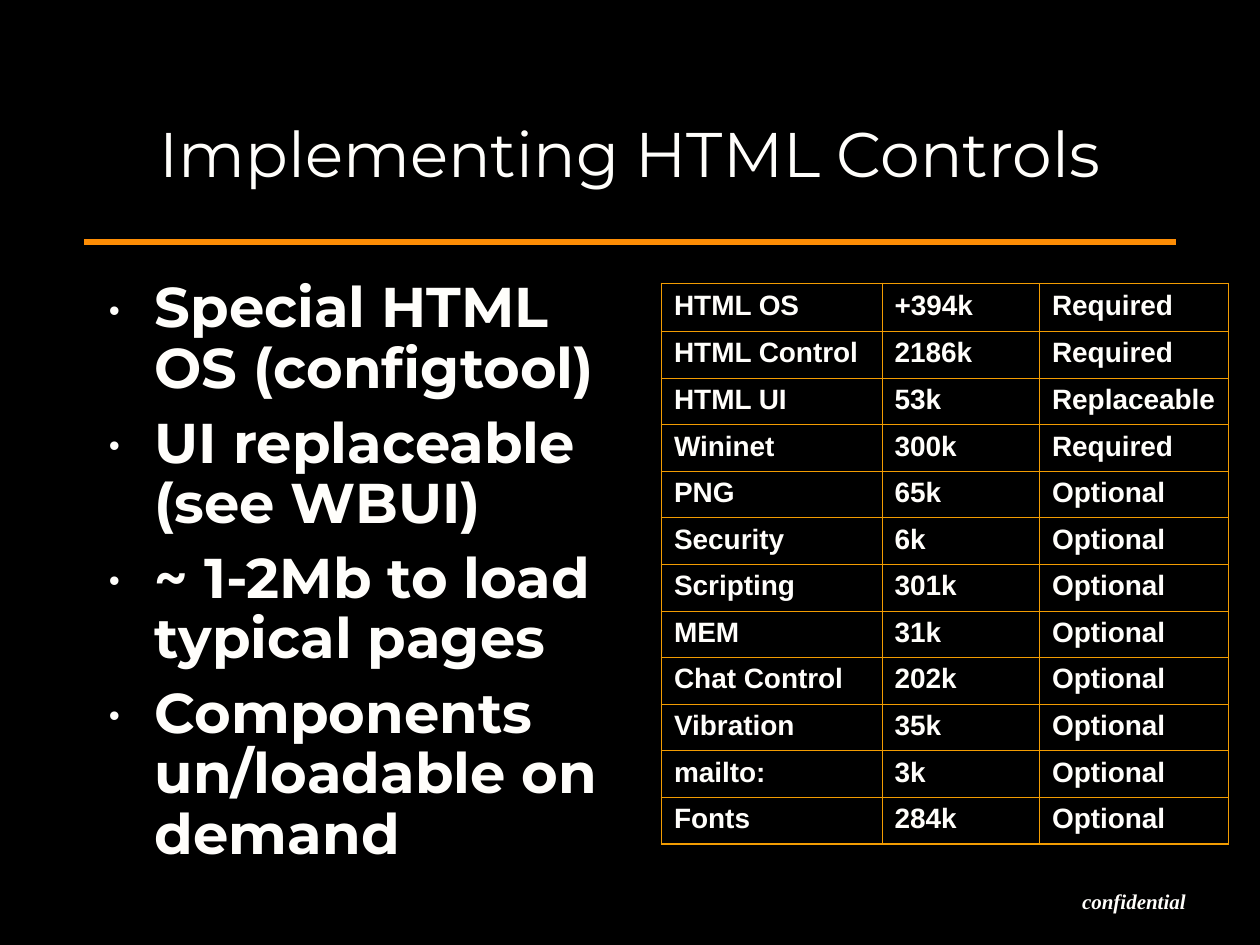
"""Build the HTML controls slide with its bullet list and component size table."""
from dataclasses import dataclass

from lxml import etree
from pptx import Presentation
from pptx.dml.color import RGBColor
from pptx.enum.shapes import MSO_CONNECTOR
from pptx.enum.text import MSO_ANCHOR, PP_ALIGN
from pptx.oxml.ns import qn
from pptx.util import Inches, Pt

STRAIGHT = MSO_CONNECTOR.STRAIGHT
CENTER = PP_ALIGN.CENTER
LEFT = PP_ALIGN.LEFT
TOP = MSO_ANCHOR.TOP
MIDDLE = MSO_ANCHOR.MIDDLE


@dataclass(frozen=True)
class Theme:
    background: str = "000000"
    text: str = "FFFEFB"
    rule: str = "FD8D05"
    border: str = "F29C02"
    heading_font: str = "Montserrat"
    table_font: str = "Arial"
    footer_font: str = "Times New Roman"
    title_size: int = 36
    bullet_size: int = 32
    table_size: int = 16
    footer_size: int = 12
    rule_width: float = 3
    outer_border: float = 1.08
    inner_border: float = 0.45


THEME = Theme()

BULLETS = [
    "Special HTML OS (configtool)",
    "UI replaceable (see WBUI)",
    "~ 1-2Mb to load typical pages",
    "Components un/loadable on demand",
]
COMPONENTS = [
    ("HTML OS", "+394k", "Required"),
    ("HTML Control", "2186k", "Required"),
    ("HTML UI", "53k", "Replaceable"),
    ("Wininet", "300k", "Required"),
    ("PNG", "65k", "Optional"),
    ("Security", "6k", "Optional"),
    ("Scripting", "301k", "Optional"),
    ("MEM", "31k", "Optional"),
    ("Chat Control", "202k", "Optional"),
    ("Vibration", "35k", "Optional"),
    ("mailto:", "3k", "Optional"),
    ("Fonts", "284k", "Optional"),
]
COLUMN_WIDTHS = (1.75, 1.25, 1.5)
FIRST_ROW_HEIGHT = 0.38
ROW_HEIGHT = 0.37


def style_paragraph(para, font, size, bold=False, italic=False):
    for span in para.runs:
        span.font.name = font
        span.font.size = Pt(size)
        span.font.bold = bold
        span.font.italic = italic
        span.font.color.rgb = RGBColor.from_string(THEME.text)


def add_text(page, area, text, font, size, bold=False, italic=False,
             align=CENTER, anchor=TOP):
    box = page.shapes.add_textbox(*map(Inches, area))
    frame = box.text_frame
    frame.word_wrap = True
    frame.vertical_anchor = anchor
    frame.text = text
    for para in frame.paragraphs:
        para.alignment = align
        style_paragraph(para, font, size, bold, italic)
    return box


def add_bullet(para):
    properties = para._p.get_or_add_pPr()
    properties.set("marL", str(Inches(0.38)))
    properties.set("indent", str(-Inches(0.38)))
    color = etree.SubElement(properties, qn("a:buClr"))
    etree.SubElement(color, qn("a:srgbClr"), val=THEME.text)
    etree.SubElement(properties, qn("a:buFont"), typeface=THEME.heading_font)
    etree.SubElement(properties, qn("a:buChar"), char="•")


def add_bullets(page, area, lines):
    box = add_text(page, area, "\n".join(lines), THEME.heading_font,
                   THEME.bullet_size, bold=True, align=LEFT)
    for index, para in enumerate(box.text_frame.paragraphs):
        add_bullet(para)
        para.line_spacing = 0.9
        if index:
            para.space_before = Pt(8)


def add_rule(page, left, right, top):
    line = page.shapes.add_connector(
        STRAIGHT, Inches(left), Inches(top), Inches(right), Inches(top))
    line.line.color.rgb = RGBColor.from_string(THEME.rule)
    line.line.width = Pt(THEME.rule_width)
    etree.SubElement(line._element.spPr, qn("a:effectLst"))


def set_borders(cell, outer_sides):
    properties = cell._tc.get_or_add_tcPr()
    for side in "LRTB":
        width = THEME.outer_border if side in outer_sides else THEME.inner_border
        line = etree.SubElement(properties, qn(f"a:ln{side}"), w=str(Pt(width)))
        fill = etree.SubElement(line, qn("a:solidFill"))
        etree.SubElement(fill, qn("a:srgbClr"), val=THEME.border)


def add_component_table(page, left, top, rows):
    last_row, last_column = len(rows) - 1, len(COLUMN_WIDTHS) - 1
    table = page.shapes.add_table(
        len(rows), len(COLUMN_WIDTHS), Inches(left), Inches(top),
        Inches(sum(COLUMN_WIDTHS)), Inches(ROW_HEIGHT * len(rows))).table
    table.first_row = table.horz_banding = False
    for column, width in zip(table.columns, COLUMN_WIDTHS):
        column.width = Inches(width)
    for row_index, values in enumerate(rows):
        table.rows[row_index].height = Inches(ROW_HEIGHT if row_index else FIRST_ROW_HEIGHT)
        for column_index, value in enumerate(values):
            cell = table.cell(row_index, column_index)
            cell.text_frame.text = value
            style_paragraph(cell.text_frame.paragraphs[0], THEME.table_font,
                            THEME.table_size, bold=True)
            edges = {"L": column_index == 0, "R": column_index == last_column,
                     "T": row_index == 0, "B": row_index == last_row}
            set_borders(cell, [side for side, outer in edges.items() if outer])
            cell.fill.background()


def main():
    deck = Presentation()
    deck.slide_width, deck.slide_height = Inches(10), Inches(7.5)
    page = deck.slides.add_slide(deck.slide_layouts[6])
    page.background.fill.solid()
    page.background.fill.fore_color.rgb = RGBColor.from_string(THEME.background)
    add_text(page, (8.25, 7, 1.5, 0.3), "confidential", THEME.footer_font,
             THEME.footer_size, bold=True, italic=True)
    add_rule(page, 0.67, 9.33, 1.92)
    add_text(page, (0.75, 0.58, 8.5, 1.25), "Implementing HTML Controls",
             THEME.heading_font, THEME.title_size, anchor=MIDDLE)
    add_component_table(page, 5.25, 2.25, COMPONENTS)
    add_bullets(page, (0.75, 2.17, 4.33, 4.5), BULLETS)
    deck.save("out.pptx")


if __name__ == "__main__":
    main()
